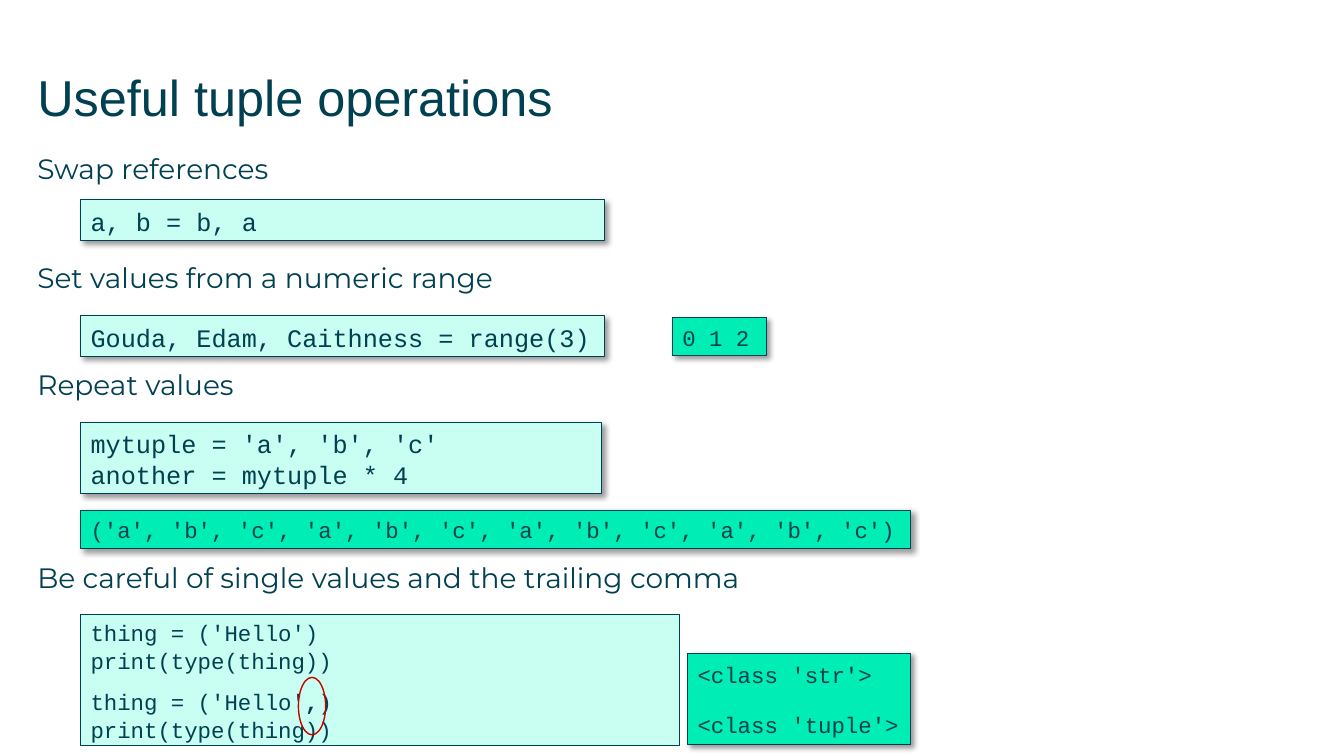
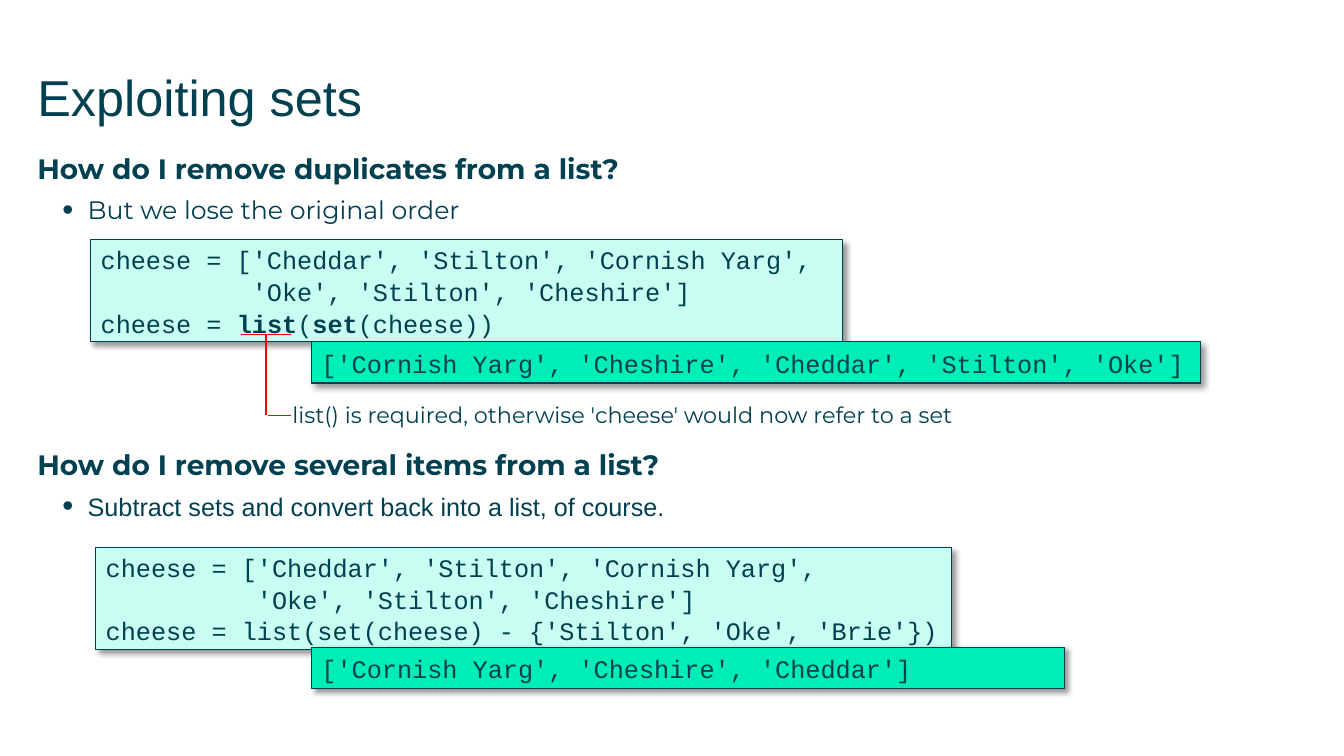
from lxml import etree
from pptx import Presentation
from pptx.dml.color import RGBColor
from pptx.enum.shapes import MSO_CONNECTOR as LINK, MSO_SHAPE as SHAPE
from pptx.enum.text import MSO_ANCHOR as ANCHOR, PP_ALIGN as ALIGN
from pptx.oxml import parse_xml
from pptx.oxml.ns import nsdecls, qn
from pptx.util import Inches, Pt

INK = {"text": "004050", "code": "C8FFF2", "out": "00EDB5",
       "ring": "C80000", "mark": "FF0000"}
SANS, HEAD, MONO = "Arial", "Montserrat", "Courier New"
LEFT = 0.37

CHEESE = ["cheese = ['Cheddar', 'Stilton', 'Cornish Yarg',",
          "          'Oke', 'Stilton', 'Cheshire']"]

SLIDES = [
    {
        "title": "Useful tuple operations",
        "heads": [
            (1.5, "Swap references"),
            (2.58, "Set values from a numeric range"),
            (3.65, "Repeat values"),
            (5.56, "Be careful of single values and the trailing comma"),
        ],
        "boxes": [
            ("code", (0.8, 1.98, 5.2, 0.41), ["a, b = b, a"], {}),
            ("code", (0.8, 3.13, 5.2, 0.41),
             ["Gouda, Edam, Caithness = range(3)"], {}),
            ("out", (6.67, 3.15, 0.93, 0.38), ["0 1 2"], {"size": 16}),
            ("code", (0.8, 4.19, 5.17, 0.71),
             ["mytuple = 'a', 'b', 'c'", "another = mytuple * 4"], {}),
            ("out", (0.8, 5.06, 8.23, 0.38),
             ["('a', 'b', 'c', 'a', 'b', 'c', 'a', 'b', 'c', 'a', 'b', 'c')"],
             {"size": 16}),
            ("code", (0.8, 6.1, 5.94, 1.3),
             ["thing = ('Hello')", "print(type(thing))",
              "thing = ('Hello'**,**)", "print(type(thing))"],
             {"size": 16, "gaps": {2: 8.5}, "shade": False}),
            ("out", (6.82, 6.48, 2.21, 0.91),
             ["<class 'str'>", "<class 'tuple'>"],
             {"size": 16, "gaps": {1: 16}}),
        ],
        "rings": [(2.96, 6.72, 0.27, 0.57)],
    },
    {
        "title": "Exploiting sets",
        "heads": [
            (1.5, "**How do I remove duplicates from a list?**"),
            (4.44, "**How do I remove several items from a list?**"),
        ],
        "bullets": [
            (1.93, "But we lose the original order", HEAD),
            (4.87, "Subtract sets and convert back into a list, of course.",
             SANS),
        ],
        "boxes": [
            ("code", (0.9, 2.38, 7.46, 1.01),
             CHEESE + ["cheese = **list**(**set**(cheese))"], {}),
            ("out", (3.09, 3.39, 8.82, 0.41),
             ["['Cornish Yarg', 'Cheshire', 'Cheddar', 'Stilton', 'Oke']"],
             {}),
            ("code", (0.95, 5.43, 8.49, 1.01),
             CHEESE + ["cheese = list(set(cheese) - "
                       "{'Stilton', 'Oke', 'Brie'})"], {}),
            ("out", (3.09, 6.42, 7.47, 0.41),
             ["['Cornish Yarg', 'Cheshire', 'Cheddar']"], {}),
        ],
        "notes": [
            ((2.9, 3.98, 6.86, 0.3),
             "list() is required, otherwise 'cheese' would now refer to a set"),
        ],
        "lines": [(2.39, 3.32, 2.89, 3.32), (2.64, 3.32, 2.64, 4.12),
                  (2.66, 4.12, 2.89, 4.12)],
    },
]


def color(name):
    return RGBColor.from_string(INK[name])


def place(at):
    return [Inches(v) for v in at]


def write(shape, lines, font=HEAD, size=20, pad=(0, 0), anchor=ANCHOR.TOP,
          pitch=1.0, gaps=None, bullet=False):
    frame = shape.text_frame
    frame.word_wrap = True
    frame.vertical_anchor = anchor
    frame.margin_left, frame.margin_right = Inches(pad[0]), 0
    frame.margin_top = frame.margin_bottom = Inches(pad[1])
    for i, line in enumerate(lines):
        para = frame.paragraphs[0] if i == 0 else frame.add_paragraph()
        para.alignment = ALIGN.LEFT
        para.line_spacing = pitch
        if gaps and i in gaps:
            para.space_before = Pt(gaps[i])
        if bullet:
            props = para._p.get_or_add_pPr()
            props.set("marL", str(Inches(0.5)))
            props.set("indent", str(-Inches(0.25)))
            for tag, key, val in (("buSzPct", "val", "125000"),
                                  ("buFont", "typeface", SANS),
                                  ("buChar", "char", "•")):
                etree.SubElement(props, qn("a:" + tag)).set(key, val)
        for j, part in enumerate(line.split("**")):
            if part:
                run = para.add_run()
                run.text = part
                run.font.name, run.font.size = font, Pt(size)
                run.font.bold = j % 2 == 1
                run.font.color.rgb = color("text")


def add_text(slide, at, text, **form):
    write(slide.shapes.add_textbox(*place(at)), [text], **form)


def add_box(slide, kind, at, lines, size=18, gaps=None, shade=True):
    box = slide.shapes.add_shape(SHAPE.RECTANGLE, *place(at))
    box.fill.solid()
    box.fill.fore_color.rgb = color(kind)
    box.line.color.rgb = color("text")
    box.line.width = Pt(0.75)
    box.shadow.inherit = False
    if shade:
        box._element.spPr.find(qn("a:effectLst")).append(parse_xml(
            f'<a:outerShdw {nsdecls("a")} blurRad="{Pt(4)}" dist="{Pt(3)}" '
            'dir="2700000" algn="tl" rotWithShape="0"><a:srgbClr val="000000">'
            '<a:alpha val="40000"/></a:srgbClr></a:outerShdw>'))
    write(box, lines, font=MONO, size=size, pad=(0.1, 0.05),
          anchor=ANCHOR.MIDDLE, pitch=1.05, gaps=gaps)


def add_ring(slide, at):
    ring = slide.shapes.add_shape(SHAPE.OVAL, *place(at))
    ring.fill.background()
    ring.line.color.rgb = color("ring")
    ring.line.width = Pt(1)
    ring.shadow.inherit = False


def add_line(slide, ends):
    line = slide.shapes.add_connector(LINK.STRAIGHT, *place(ends))
    line.line.color.rgb = color("mark")
    line.line.width = Pt(1)
    etree.SubElement(line._element.spPr, qn("a:effectLst"))


def build(deck, data):
    slide = deck.slides.add_slide(deck.slide_layouts[5])
    title = slide.shapes.title
    title.left, title.top, title.width, title.height = place(
        (LEFT, 0.66, 12.6, 0.8))
    write(title, [data["title"]], font=SANS, size=36)
    for top, text in data["heads"]:
        add_text(slide, (LEFT, top, 12.6, 0.34), text)
    for top, text, font in data.get("bullets", []):
        add_text(slide, (LEFT, top, 12.6, 0.31), text, font=font, size=18,
                 bullet=True)
    for kind, at, lines, form in data["boxes"]:
        add_box(slide, kind, at, lines, **form)
    for at, text in data.get("notes", []):
        add_text(slide, at, text, size=16)
    for at in data.get("rings", []):
        add_ring(slide, at)
    for ends in data.get("lines", []):
        add_line(slide, ends)


def main():
    """Build the slides on tuples and sets."""
    deck = Presentation()
    deck.slide_width, deck.slide_height = Inches(13.33), Inches(7.5)
    for data in SLIDES:
        build(deck, data)
    deck.save("out.pptx")


if __name__ == "__main__":
    main()
